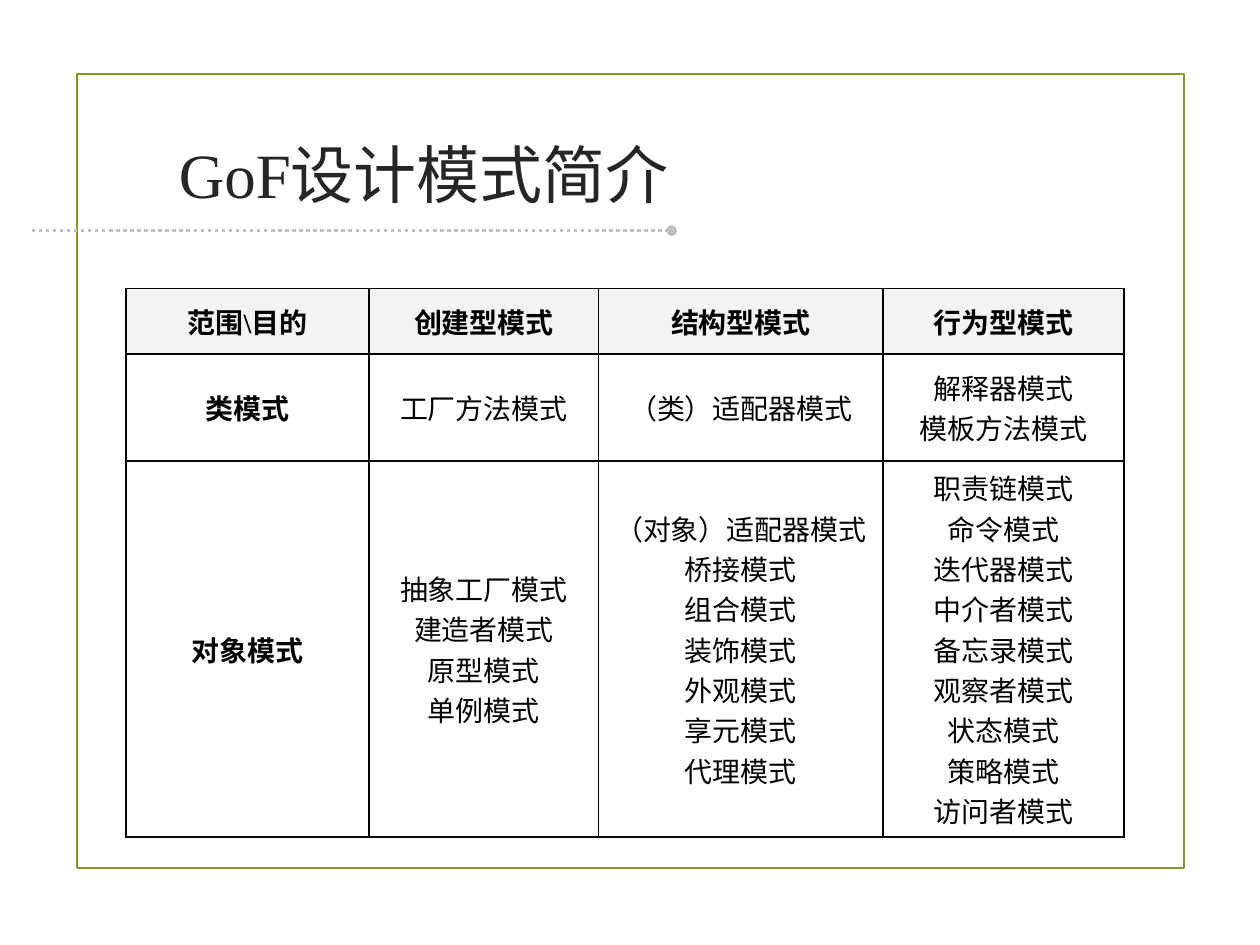
from dataclasses import dataclass

from lxml.etree import SubElement
from pptx import Presentation
from pptx.dml.color import RGBColor as RGB
from pptx.enum.dml import MSO_LINE
from pptx.enum.shapes import MSO_CONNECTOR, MSO_SHAPE
from pptx.enum.text import MSO_ANCHOR, PP_ALIGN
from pptx.oxml.ns import qn
from pptx.util import Inches, Pt


@dataclass(frozen=True)
class Theme:
    """Colours, font and type sizes of the slide."""
    font: str = "Times New Roman"
    title_size: int = 36
    cell_size: int = 16
    title: str = "262626"
    text: str = "000000"
    border: str = "000000"
    header: str = "F3F3F3"
    frame: str = "83992A"
    rule: str = "C0C0C0"


THEME = Theme()
COLUMNS = (1.93, 1.82, 2.26, 1.91)
ROWS = (0.52, 0.85, 2.98)
PATTERNS = (
    ("范围\\目的", "创建型模式", "结构型模式", "行为型模式"),
    ("类模式", "工厂方法模式", "（类）适配器模式", "解释器模式 模板方法模式"),
    (
        "对象模式",
        "抽象工厂模式 建造者模式 原型模式 单例模式",
        "（对象）适配器模式 桥接模式 组合模式 装饰模式 外观模式 享元模式 代理模式",
        "职责链模式 命令模式 迭代器模式 中介者模式 备忘录模式 "
        "观察者模式 状态模式 策略模式 访问者模式",
    ),
)


def add_run(p, text, size, color, bold=False):
    """Add one centred, formatted run to a paragraph."""
    p.alignment = PP_ALIGN.CENTER
    r = p.add_run()
    r.text = text
    r.font.name, r.font.size, r.font.bold = THEME.font, Pt(size), bold
    r.font.color.rgb = RGB.from_string(color)


def add_frame(slide):
    """Draw the outlined frame around the content."""
    box = [Inches(v) for v in (0.61, 0.59, 8.79, 6.3)]
    s = slide.shapes.add_shape(MSO_SHAPE.RECTANGLE, *box)
    s.shadow.inherit = False
    s.fill.background()
    s.line.color.rgb = RGB.from_string(THEME.frame)
    s.line.width = Pt(1.25)


def add_title_rule(slide):
    """Draw the dotted rule with a round end below the title."""
    ends = [Inches(v) for v in (0.25, 1.83, 5.33, 1.83)]
    s = slide.shapes.add_connector(MSO_CONNECTOR.STRAIGHT, *ends)
    s.line.color.rgb = RGB.from_string(THEME.rule)
    s.line.width = Pt(2)
    s.line.dash_style = MSO_LINE.ROUND_DOT
    SubElement(s.line._get_or_add_ln(), qn("a:tailEnd"), type="oval")
    SubElement(s._element.spPr, qn("a:effectLst"))


def fill_title(slide, text):
    """Place and fill the title placeholder."""
    s = slide.shapes.title
    s.left, s.top, s.width, s.height = [Inches(v) for v in (0.92, 1, 5, 0.75)]
    tf = s.text_frame
    tf.word_wrap = True
    tf.vertical_anchor = MSO_ANCHOR.MIDDLE
    add_run(tf.paragraphs[0], text, THEME.title_size, THEME.title)


def set_borders(cell):
    """Give a cell thin solid borders on all four sides."""
    tc_pr = cell._tc.get_or_add_tcPr()
    for i, side in enumerate(("lnL", "lnR", "lnT", "lnB")):
        ln = tc_pr.makeelement(qn(f"a:{side}"), {"w": str(Pt(1))})
        tc_pr.insert(i, ln)
        fill = SubElement(ln, qn("a:solidFill"))
        SubElement(fill, qn("a:srgbClr"), val=THEME.border)


def fill_cell(cell, names, header, bold):
    """Write one pattern name a paragraph and style the cell."""
    cell.vertical_anchor = MSO_ANCHOR.MIDDLE
    if header:
        cell.fill.solid()
        cell.fill.fore_color.rgb = RGB.from_string(THEME.header)
    else:
        cell.fill.background()
    set_borders(cell)
    tf = cell.text_frame
    for i, name in enumerate(names):
        p = tf.add_paragraph() if i else tf.paragraphs[0]
        p_pr = p._p.get_or_add_pPr()
        p_pr.set("marL", str(Inches(0.38)))
        p_pr.set("indent", str(Inches(-0.38)))
        add_run(p, name, THEME.cell_size, THEME.text, bold)


def add_pattern_table(slide):
    """Add the table of patterns by scope and purpose."""
    box = [Inches(v) for v in (1, 2.29, sum(COLUMNS), sum(ROWS))]
    table = slide.shapes.add_table(len(ROWS), len(COLUMNS), *box).table
    for column, width in zip(table.columns, COLUMNS):
        column.width = Inches(width)
    for row, height in zip(table.rows, ROWS):
        row.height = Inches(height)
    for r, line in enumerate(PATTERNS):
        for c, names in enumerate(line):
            header = r == 0
            fill_cell(table.cell(r, c), names.split(), header, header or c == 0)


def main():
    """Build and save the slide."""
    prs = Presentation()
    prs.slide_width, prs.slide_height = Inches(10), Inches(7.5)
    slide = prs.slides.add_slide(prs.slide_layouts[5])
    add_frame(slide)
    add_title_rule(slide)
    fill_title(slide, "GoF设计模式简介 ")
    add_pattern_table(slide)
    prs.save("out.pptx")


if __name__ == "__main__":
    main()
